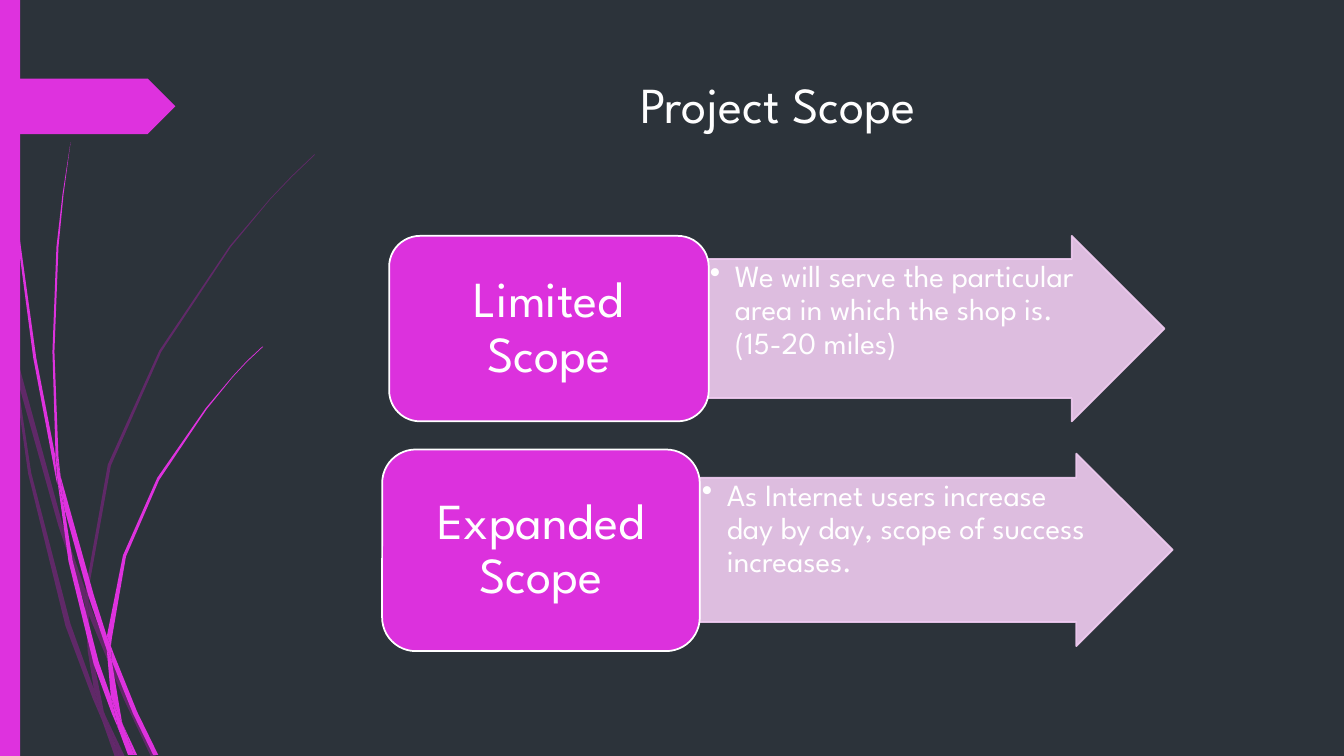
from lxml import etree
from pptx import Presentation
from pptx.dml.color import RGBColor
from pptx.enum.shapes import MSO_SHAPE
from pptx.enum.text import MSO_ANCHOR, MSO_AUTO_SIZE, PP_ALIGN
from pptx.oxml.ns import qn
from pptx.util import Inches, Pt

RECT = MSO_SHAPE.RECTANGLE
TAG = MSO_SHAPE.PENTAGON
ARROW = MSO_SHAPE.RIGHT_ARROW
CARD = MSO_SHAPE.ROUNDED_RECTANGLE
LEFT, CENTER = PP_ALIGN.LEFT, PP_ALIGN.CENTER
TOP, MIDDLE = MSO_ANCHOR.TOP, MSO_ANCHOR.MIDDLE


class Theme:
    font = "League Spartan"
    background = "2C333A"
    accent = "DE32DE"
    dim_accent = "AF1CAF"
    card = "DC31DD"
    arrow = "F1CCF2"
    title_text = "FEFEFE"
    text = "FFFFFF"
    heading_size = 36
    body_size = 22
    outline = 1.25
    line_spacing = 0.9


TITLE = "Project Scope"
# card text, card box, arrow text, arrow box; boxes are left, top, width, height
SCOPES = [
    ("Limited Scope", (3.86, 2.34, 3.17, 1.84),
     "We will serve the particular area in which the shop is.(15-20 miles)",
     (7.02, 2.34, 4.53, 1.84)),
    ("Expanded Scope", (3.79, 4.46, 3.15, 2),
     "As Internet users increase day by day, scope of success increases.",
     (6.94, 4.5, 4.69, 1.91)),
]
# corner points of the pieces that make up the curved grass blades
DIM_BLADES = [
    [(0.11, 3.5), (0.09, 3.22), (0, 2.82), (0, 2.99), (0.1, 3.44)],
    [(0.58, 5.22), (0.84, 5.99), (0.85, 5.86), (0.62, 5.2), (0.14, 3.45),
     (0.17, 3.76)],
    [(0.92, 6.07), (0.88, 5.96), (0.88, 6.1), (1.23, 6.94), (1.5, 7.51),
     (1.55, 7.51), (1.27, 6.92)],
    [(1.19, 7.51), (1.24, 7.51), (1.05, 7.11)],
    [(0.93, 6.83), (0.7, 6.19), (0.31, 4.69), (0.17, 3.76), (0.11, 3.5),
     (0.28, 4.7), (0.65, 6.21), (0.92, 6.93), (1.01, 7.14), (0.99, 7.07)],
    [(0.84, 5.99), (0.87, 6.46), (0.93, 6.83), (0.96, 6.92), (1.05, 7.11),
     (1.03, 7.06), (0.91, 6.46), (0.88, 6.1), (0.88, 6.08)],
    [(0.88, 5.84), (1.1, 4.62), (1.6, 3.49), (2.29, 2.45), (2.68, 1.98),
     (2.9, 1.75), (3.12, 1.54), (3.12, 1.53), (2.89, 1.75), (2.68, 1.97),
     (2.28, 2.44), (1.58, 3.48), (1.07, 4.61), (0.85, 5.84), (0.85, 5.86),
     (0.88, 5.96)],
    [(1.01, 7.14), (1.14, 7.51), (1.19, 7.51)],
    [(0.88, 6.08), (0.88, 6.1), (0.88, 5.96), (0.85, 5.86), (0.84, 5.99)],
    [(0.96, 6.92), (0.93, 6.83), (0.99, 7.07), (1.01, 7.14), (1.19, 7.51),
     (1.05, 7.11)],
]
BRIGHT_BLADES = [
    [(0.07, 1.1), (0.17, 2.33), (0.33, 3.55), (0.56, 4.77), (0.57, 4.81),
     (0.55, 4.57), (0.55, 4.53), (0.36, 3.55), (0.19, 2.32), (0.08, 1.09),
     (0.05, 0.48), (0.04, 0), (0.03, 0), (0.04, 0.48)],
    [(0.88, 5.92), (1.06, 6.45), (1.06, 6.33), (1.06, 6.31), (0.93, 5.9),
     (0.6, 4.72), (0.64, 5.05)],
    [(1.13, 6.49), (1.1, 6.41), (1.11, 6.56), (1.32, 7.08), (1.52, 7.49),
     (1.57, 7.49), (1.36, 7.06)],
    [(1.1, 6.91), (0.98, 6.57), (0.72, 5.56), (0.64, 5.05), (0.57, 4.77),
     (0.68, 5.57), (0.93, 6.59), (1.11, 7.08), (1.17, 7.22), (1.16, 7.17)],
    [(0.6, 4.72), (0.58, 4.53), (0.54, 3.49), (0.58, 2.45), (0.63, 1.93),
     (0.7, 1.41), (0.62, 1.93), (0.56, 2.45), (0.52, 3.49), (0.55, 4.49)],
    [(1.33, 7.49), (1.36, 7.49), (1.22, 7.19)],
    [(0.57, 4.77), (0.64, 5.05), (0.6, 4.72), (0.55, 4.49), (0.55, 4.53)],
    [(1.11, 6.33), (1.25, 5.52), (1.58, 4.76), (2.05, 4.06), (2.31, 3.74),
     (2.45, 3.59), (2.61, 3.44), (2.6, 3.44), (2.45, 3.58), (2.31, 3.73),
     (2.04, 4.05), (1.56, 4.74), (1.22, 5.51), (1.06, 6.31), (1.1, 6.41)],
    [(1.17, 7.22), (1.27, 7.49), (1.31, 7.49)],
    [(1.06, 6.45), (1.1, 6.91), (1.16, 7.06), (1.22, 7.19), (1.21, 7.16),
     (1.11, 6.56), (1.09, 6.51)],
    [(1.06, 6.45), (1.09, 6.51), (1.11, 6.56), (1.1, 6.41), (1.06, 6.31),
     (1.06, 6.33)],
    [(1.16, 7.06), (1.1, 6.91), (1.16, 7.17), (1.17, 7.22), (1.3, 7.49),
     (1.33, 7.49), (1.22, 7.19)],
]


def paint(shape, fill, line=None, opacity=100):
    shape.shadow.inherit = False
    shape.fill.solid()
    shape.fill.fore_color.rgb = RGBColor.from_string(fill)
    if line:
        shape.line.color.rgb = RGBColor.from_string(line)
        shape.line.width = Pt(Theme.outline)
    else:
        shape.line.fill.background()
    if opacity < 100:
        for color in shape.fill._xPr.iter(qn("a:srgbClr")):
            etree.SubElement(color, qn("a:alpha")).set("val", str(opacity * 1000))


def add_block(slide, preset, box, fill, line=None, opacity=100):
    block = slide.shapes.add_shape(preset, *map(Inches, box))
    paint(block, fill, line, opacity)
    return block


def add_blade(slide, corners, color, opacity=100):
    start, *rest = [(Inches(x), Inches(y)) for x, y in corners]
    builder = slide.shapes.build_freeform(*start)
    builder.add_line_segments(rest, close=True)
    paint(builder.convert_to_shape(), color, opacity=opacity)


def write(shape, text, size, color, align, anchor, insets):
    frame = shape.text_frame
    frame.word_wrap = True
    frame.auto_size = MSO_AUTO_SIZE.NONE
    frame.vertical_anchor = anchor
    (frame.margin_left, frame.margin_top,
     frame.margin_right, frame.margin_bottom) = map(Inches, insets)
    paragraph = frame.paragraphs[0]
    paragraph.alignment = align
    run = paragraph.add_run()
    run.text = text
    run.font.name = Theme.font
    run.font.size = Pt(size)
    run.font.color.rgb = RGBColor.from_string(color)
    return paragraph


def add_bullet(paragraph, indent):
    props = paragraph._p.get_or_add_pPr()
    props.set("marL", str(Inches(indent)))
    props.set("indent", str(-Inches(indent)))
    bullet_color = etree.SubElement(props, qn("a:buClr"))
    etree.SubElement(bullet_color, qn("a:srgbClr")).set("val", Theme.text)
    etree.SubElement(props, qn("a:buChar")).set("char", "•")
    paragraph.font.name = Theme.font
    paragraph.font.size = Pt(Theme.body_size)


def add_scope(slide, name, card_box, detail, arrow_box):
    arrow = add_block(slide, ARROW, arrow_box, Theme.arrow, Theme.arrow, 90)
    arrow.adjustments[0], arrow.adjustments[1] = 0.75, 0.5
    left, top, width, height = arrow_box
    # the text fills the arrow's shaft and the first quarter of its head
    detail_box = (left, top + height / 8, width - 0.375 * height, 0.75 * height)
    body = write(slide.shapes.add_textbox(*map(Inches, detail_box)), detail,
                 Theme.body_size, Theme.text, LEFT, TOP, (0.02,) * 4)
    add_bullet(body, 0.25)
    body.line_spacing = Theme.line_spacing

    card = add_block(slide, CARD, card_box, Theme.card, Theme.text)
    heading = write(card, name, Theme.heading_size, Theme.text, CENTER, MIDDLE,
                    (0.15, 0.07, 0.15, 0.07))
    heading.line_spacing = Theme.line_spacing


def main():
    deck = Presentation()
    deck.slide_width, deck.slide_height = Inches(13.33), Inches(7.5)
    slide = deck.slides.add_slide(deck.slide_layouts[5])
    slide.background.fill.solid()
    slide.background.fill.fore_color.rgb = RGBColor.from_string(Theme.background)

    for corners in DIM_BLADES:
        add_blade(slide, corners, Theme.dim_accent, 40)
    for corners in BRIGHT_BLADES:
        add_blade(slide, corners, Theme.accent)
    add_block(slide, RECT, (0, 0, 0.2, 7.5), Theme.accent)
    add_block(slide, TAG, (0, 0.78, 1.74, 0.55), Theme.accent)

    title = slide.shapes.title
    title.left, title.top, title.width, title.height = map(
        Inches, (2.84, 0.68, 9.75, 1.4))
    write(title, TITLE, Theme.heading_size, Theme.title_text, CENTER, TOP,
          (0.1, 0.05, 0.1, 0.05))

    for scope in SCOPES:
        add_scope(slide, *scope)
    deck.save("out.pptx")


if __name__ == "__main__":
    main()
